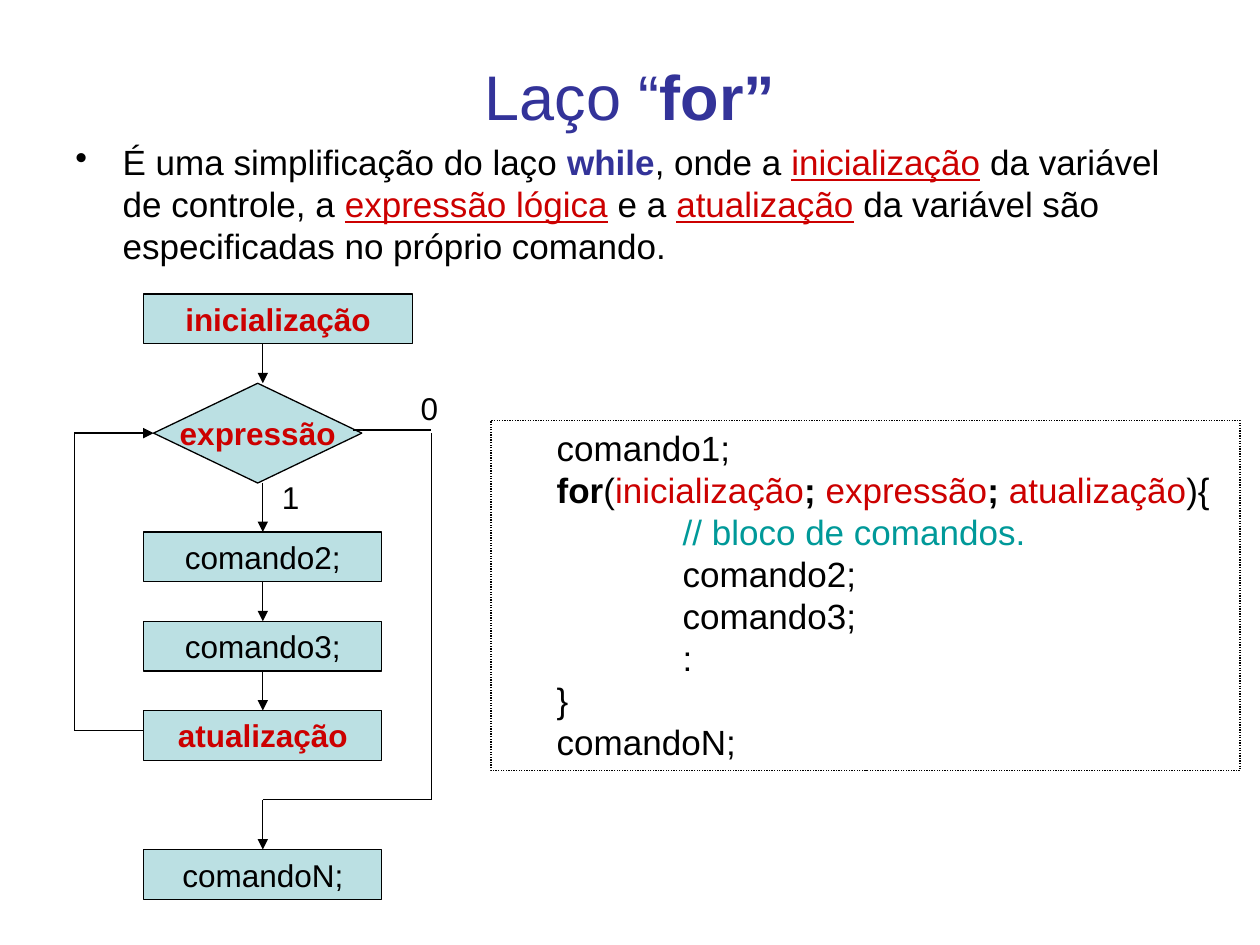
from pptx import Presentation
from pptx.dml.color import RGBColor
from pptx.enum.dml import MSO_LINE
from pptx.enum.shapes import MSO_CONNECTOR, MSO_SHAPE
from pptx.enum.text import MSO_ANCHOR, PP_ALIGN
from pptx.oxml.ns import qn
from pptx.util import Pt
from lxml import etree

STRAIGHT = MSO_CONNECTOR.STRAIGHT
PROCESS = MSO_SHAPE.FLOWCHART_PROCESS
DECISION = MSO_SHAPE.FLOWCHART_DECISION
RECTANGLE = MSO_SHAPE.RECTANGLE
CENTER, LEFT = PP_ALIGN.CENTER, PP_ALIGN.LEFT
MIDDLE, TOP_ANCHOR = MSO_ANCHOR.MIDDLE, MSO_ANCHOR.TOP
DOTTED = MSO_LINE.ROUND_DOT
TOP, LEFT_SIDE, BOTTOM = 0, 1, 2

COLORS = {
    "black": "000000",
    "title": "333399",
    "keyword": "CC0000",
    "comment": "009999",
    "node": "BBE0E3",
}
PLAIN = {}
BOLD = {"bold": True}
RED = {"color": "keyword"}
RED_BOLD = {"color": "keyword", "bold": True}
RED_UNDERLINED = {"color": "keyword", "underline": True}


def color(name):
    return RGBColor.from_string(COLORS[name])


class SlideBuilder:
    def __init__(self, slide, font_name="Arial", line_width=0.75):
        self.slide = slide
        self.font_name = font_name
        self.line_width = line_width

    def add_runs(self, paragraph, runs, size, alignment=LEFT):
        paragraph.alignment = alignment
        for text, style in runs:
            run = paragraph.add_run()
            run.text = text
            values = {"name": self.font_name, "size": Pt(size), **style}
            run.font.color.rgb = color(values.pop("color", "black"))
            for attribute, value in values.items():
                setattr(run.font, attribute, value)

    def indent(self, paragraph, margin, first_line=0):
        properties = paragraph._p.get_or_add_pPr()
        properties.set("marL", str(Pt(margin)))
        properties.set("indent", str(Pt(first_line)))
        return properties

    def text(self, box, runs, size, alignment=LEFT, anchor=TOP_ANCHOR, wrap=True):
        shape = self.slide.shapes.add_textbox(*map(Pt, box))
        shape.text_frame.word_wrap = wrap
        shape.text_frame.vertical_anchor = anchor
        paragraph = shape.text_frame.paragraphs[0]
        self.add_runs(paragraph, runs, size, alignment)
        return paragraph

    def bullet(self, box, runs, size):
        paragraph = self.text(box, runs, size)
        paragraph.space_before = Pt(size * 0.2)
        properties = self.indent(paragraph, 27, -27)
        etree.SubElement(properties, qn("a:buChar")).set("char", "•")

    def outlined(self, kind, box):
        shape = self.slide.shapes.add_shape(kind, *map(Pt, box))
        shape.shadow.inherit = False
        shape.line.color.rgb = color("black")
        shape.line.width = Pt(self.line_width)
        return shape

    def node(self, kind, box, label, style):
        shape = self.outlined(kind, box)
        shape.fill.solid()
        shape.fill.fore_color.rgb = color("node")
        shape.text_frame.word_wrap = False
        shape.text_frame.vertical_anchor = MIDDLE
        self.add_runs(shape.text_frame.paragraphs[0], [(label, style)], 18, CENTER)
        return shape

    def code(self, box, lines, size):
        """Each line is a pair: its nesting level and its runs."""
        shape = self.outlined(RECTANGLE, box)
        shape.fill.background()
        shape.line.dash_style = DOTTED
        frame = shape.text_frame
        frame.word_wrap = True
        frame.vertical_anchor = TOP_ANCHOR
        frame.margin_left = Pt(1.5)
        for index, (level, runs) in enumerate(lines):
            paragraph = frame.add_paragraph() if index else frame.paragraphs[0]
            self.add_runs(paragraph, runs, size)
            self.indent(paragraph, 36 + 72 * level)

    def line(self, start, end, arrow=False, source=None, target=None):
        """source and target are optional pairs of shape and connection site."""
        connector = self.slide.shapes.add_connector(STRAIGHT, *map(Pt, start + end))
        connector.line.color.rgb = color("black")
        connector.line.width = Pt(self.line_width)
        if arrow:
            outline = connector.line._get_or_add_ln()
            etree.SubElement(outline, qn("a:tailEnd")).set("type", "triangle")
        etree.SubElement(connector._element.spPr, qn("a:effectLst"))
        if source:
            connector.begin_connect(*source)
        if target:
            connector.end_connect(*target)


def add_flowchart(builder):
    left, width, height = 82.2, 136, 28.4
    axis = left + width / 2
    loop_x, exit_x = 42.5, 246.5
    decision_top, decision_height = 219, 57
    decision_middle = decision_top + decision_height / 2
    exit_y, update_y = 457, 417.5

    def process(top, label, style=PLAIN, box_width=width):
        return builder.node(PROCESS, (left, top, box_width, height), label, style)

    process(168, "inicialização", RED_BOLD, 153.4)
    decision = builder.node(
        DECISION, (87.8, decision_top, 119, decision_height), "expressão", RED_BOLD)
    second, third, update = [
        process(304 + 51 * row, label, style)
        for row, (label, style) in enumerate([
            ("comando2;", PLAIN), ("comando3;", PLAIN), ("atualização", RED_BOLD)])
    ]
    last = process(485.5, "comandoN;")

    builder.line((axis, 196.4), (axis, decision_top), arrow=True)
    builder.line((axis, decision_top + decision_height), (axis, 304), arrow=True,
                 target=(second, TOP))
    for upper, lower in [(second, third), (third, update)]:
        builder.line((axis, 0), (axis, 0), arrow=True,
                     source=(upper, BOTTOM), target=(lower, TOP))

    builder.line((left, update_y), (loop_x, update_y))
    builder.line((loop_x, update_y), (loop_x, decision_middle))
    builder.line((loop_x, decision_middle), (87.8, decision_middle), arrow=True,
                 target=(decision, LEFT_SIDE))

    builder.line((201.6, 245.7), (exit_x, 245.7))
    builder.line((exit_x, decision_middle), (exit_x, exit_y))
    builder.line((exit_x, exit_y), (axis, exit_y))
    builder.line((axis, exit_y), (axis, 485.5), arrow=True, target=(last, TOP))

    for label, x, y in [("1", 154, 269.6), ("0", 233.3, 218.6)]:
        builder.text((x, y, 24.4, 28.8), [(label, PLAIN)], 18, wrap=False)


def main():
    presentation = Presentation()
    presentation.slide_width, presentation.slide_height = Pt(720), Pt(540)
    slide = presentation.slides.add_slide(presentation.slide_layouts[6])
    builder = SlideBuilder(slide)

    builder.text((36, 9.4, 648, 90),
                 [("Laço “", {"color": "title"}),
                  ("for”", {"color": "title", "bold": True})],
                 36, CENTER, MIDDLE)
    builder.bullet((36, 77, 648, 116), [
        ("É uma simplificação do laço ", PLAIN),
        ("while", {"color": "title", "bold": True}),
        (", onde a ", PLAIN),
        ("inicialização", RED_UNDERLINED),
        (" da variável de controle, a ", PLAIN),
        ("expressão lógica", RED_UNDERLINED),
        (" e a ", PLAIN),
        ("atualização", RED_UNDERLINED),
        (" da variável são especificadas no próprio comando.", PLAIN),
    ], 20)
    add_flowchart(builder)
    builder.code((280.6, 240.3, 428, 200), [
        (0, [("comando1;", PLAIN)]),
        (0, [("for", BOLD), ("(", PLAIN), ("inicialização", RED), ("; ", BOLD),
             ("expressão", RED), ("; ", BOLD), ("atualização", RED), ("){", PLAIN)]),
        (1, [("// bloco de comandos.", {"color": "comment"})]),
        (1, [("comando2;", PLAIN)]),
        (1, [("comando3;", PLAIN)]),
        (1, [(":", PLAIN)]),
        (0, [("}", PLAIN)]),
        (0, [("comandoN;", PLAIN)]),
    ], 20)
    presentation.save("out.pptx")


if __name__ == "__main__":
    main()
